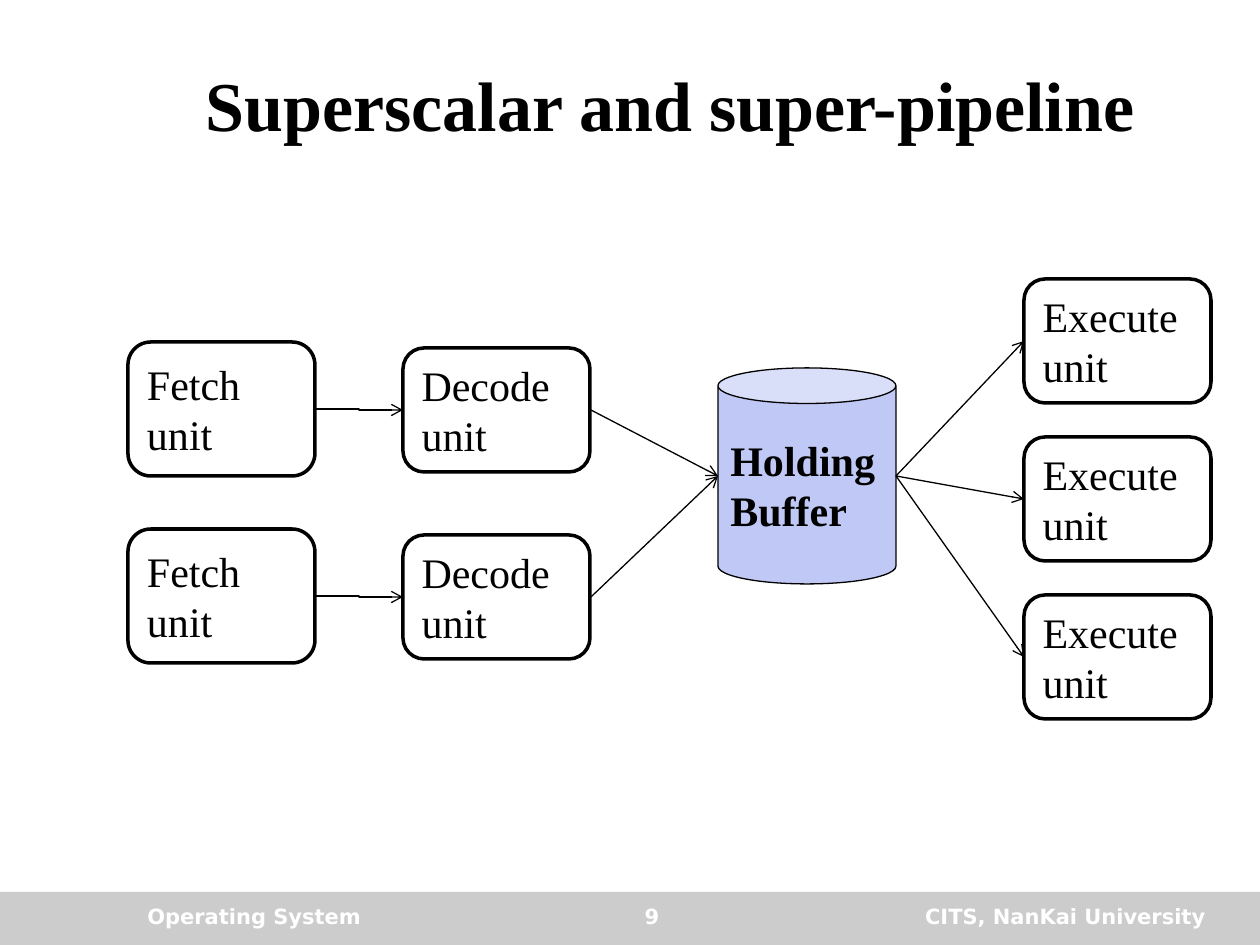
from lxml.etree import SubElement
from pptx import Presentation
from pptx.dml.color import RGBColor
from pptx.enum.shapes import MSO_CONNECTOR as CONNECTOR, MSO_SHAPE as SHAPE
from pptx.enum.text import MSO_ANCHOR as ANCHOR, PP_ALIGN as ALIGN
from pptx.oxml.ns import qn
from pptx.util import Emu, Pt

SCALE = 914400 / 126
SERIF = "Times New Roman"
SANS = "DejaVu Sans"
BLACK = "000000"
WHITE = "FFFFFF"


def px(length):
    """Turn a length in px into EMU."""
    return Emu(round(length * SCALE))


def color(value):
    """Turn a hex string into a colour."""
    return RGBColor.from_string(value)


def write(shape, text, size, font=SERIF, ink=BLACK, bold=False,
          align=ALIGN.LEFT, anchor=ANCHOR.MIDDLE):
    """Put one formatted run into a shape."""
    frame = shape.text_frame
    frame.word_wrap = True
    frame.vertical_anchor = anchor
    paragraph = frame.paragraphs[0]
    paragraph.alignment = align
    run = paragraph.add_run()
    run.text = text
    run.font.name = font
    run.font.size = Pt(size)
    run.font.bold = bold
    run.font.color.rgb = color(ink)


def add_block(slide, kind, box, fill, line_width=0):
    """Add a filled preset shape, outlined in black if a width is given."""
    shape = slide.shapes.add_shape(kind, *map(px, box))
    shape.shadow.inherit = False
    shape.fill.solid()
    shape.fill.fore_color.rgb = color(fill)
    if line_width:
        shape.line.color.rgb = color(BLACK)
        shape.line.width = Pt(line_width)
    else:
        shape.line.fill.background()
    return shape


def add_unit(slide, text, left, top, height):
    """Add a rounded box for one processor unit."""
    unit = add_block(slide, SHAPE.ROUNDED_RECTANGLE, (left, top, 187, height), WHITE, 2)
    unit.adjustments[0] = 0.17
    write(unit, text, 24)


def add_arrow(slide, start, end, kind=CONNECTOR.STRAIGHT):
    """Add a thin black arrow with an open head."""
    arrow = slide.shapes.add_connector(kind, *map(px, start + end))
    arrow.line.color.rgb = color(BLACK)
    arrow.line.width = Pt(0.75)
    SubElement(arrow.line._get_or_add_ln(), qn("a:tailEnd"), type="arrow")
    SubElement(arrow._element.spPr, qn("a:effectLst"))


def add_title(slide, text):
    """Place and fill the title placeholder."""
    title = slide.shapes.title
    title.left, title.top, title.width, title.height = map(px, (134, 42, 1072, 123))
    write(title, text, 40, bold=True, align=ALIGN.CENTER)


def add_footer(slide):
    """Add the grey band with its three labels."""
    add_block(slide, SHAPE.RECTANGLE, (0, 892, 1260, 53), "CCCCCC")
    labels = [
        ("Operating System", 135, 346, ALIGN.LEFT),
        ("9", 505, 294, ALIGN.CENTER),
        ("CITS, NanKai University", 819, 399, ALIGN.RIGHT),
    ]
    for text, left, width, align in labels:
        label = slide.shapes.add_textbox(*map(px, (left, 897, width, 42)))
        write(label, text, 12, SANS, WHITE, True, align, ANCHOR.TOP)


def add_pipeline(slide):
    """Add the units, the buffer and the arrows between them."""
    buffer = add_block(slide, SHAPE.CAN, (718, 368, 178, 216), "C0C9F6", 0.75)
    buffer.adjustments[0] = 0.2
    write(buffer, "Holding Buffer", 24, bold=True)
    buffer_in, buffer_out = (718, 476), (896, 476)
    for top in (342, 529):
        add_unit(slide, "Fetch unit", 128, top, 134)
        add_unit(slide, "Decode unit", 403, top + 6, 124)
        add_arrow(slide, (315, top + 67), (403, top + 68), CONNECTOR.ELBOW)
        add_arrow(slide, (591, top + 68), buffer_in)
    for row in range(3):
        top = 279 + row * 158
        add_unit(slide, "Execute unit", 1024, top, 124)
        add_arrow(slide, buffer_out, (1024, top + 62))


def main():
    """Build and save the slide."""
    presentation = Presentation()
    presentation.slide_width, presentation.slide_height = px(1260), px(945)
    slide = presentation.slides.add_slide(presentation.slide_layouts[5])
    add_title(slide, "Superscalar and super-pipeline")
    add_footer(slide)
    add_pipeline(slide)
    presentation.save("out.pptx")


if __name__ == "__main__":
    main()
